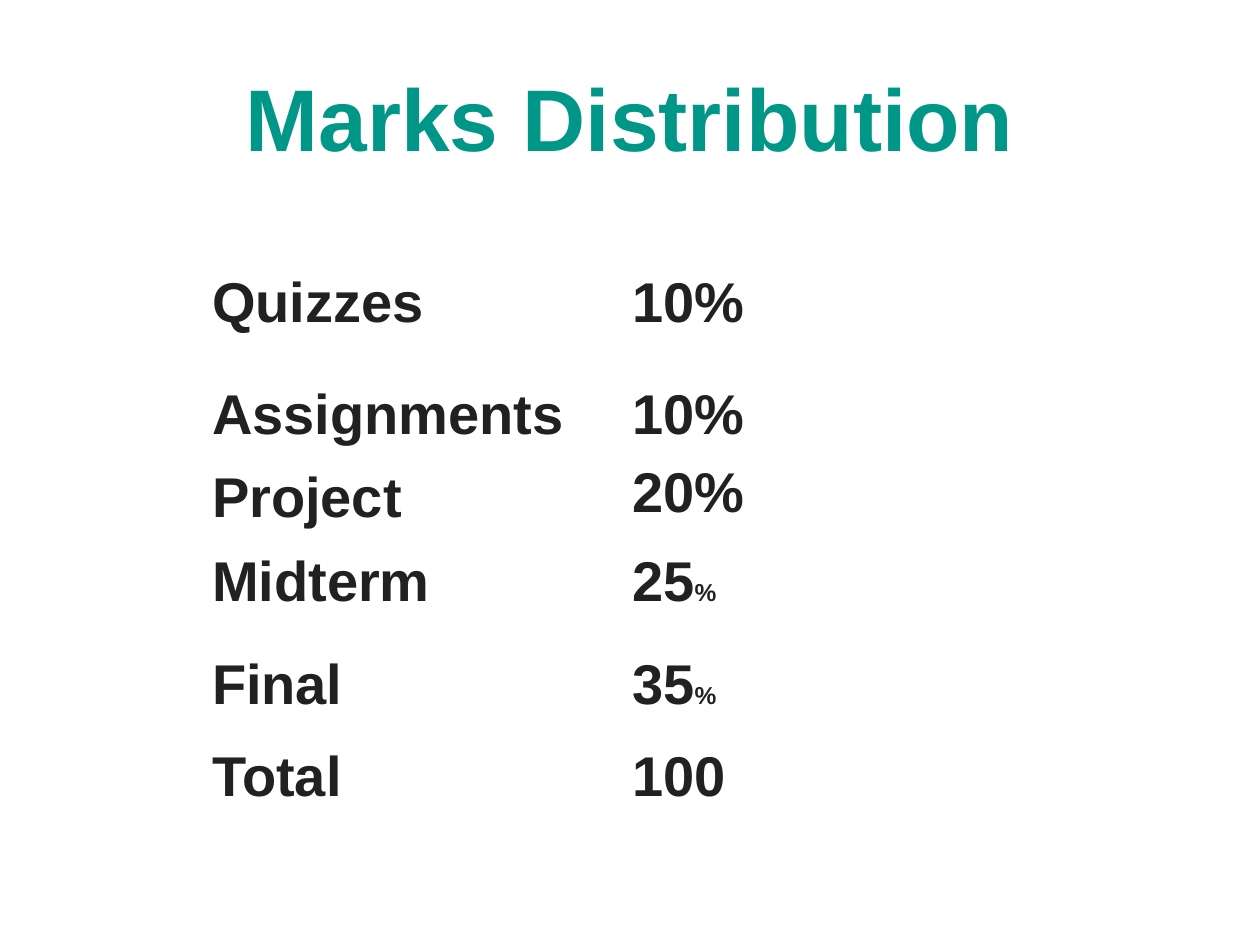
from dataclasses import dataclass

from lxml.etree import SubElement
from pptx import Presentation
from pptx.dml.color import RGBColor as Rgb
from pptx.enum.text import MSO_ANCHOR as Anchor, PP_ALIGN as Align
from pptx.oxml.ns import qn
from pptx.util import Cm, Pt


@dataclass(frozen=True)
class Theme:
    """Colours, type sizes and line widths of the slide."""
    font: str = "Arial"
    heading: str = "009688"
    body: str = "212121"
    rule: str = "FFFFFF"
    heading_size: int = 50
    body_size: int = 32
    small_size: int = 14
    outer_rule: float = 2.25
    inner_rule: float = 1


THEME = Theme()
MARKS = [
    (2.24, [["Quizzes"]], [["10%"]]),
    (3.25, [["Assignments"], ["Project"]], [["10%"], ["20%"]]),
    (2.08, [["Midterm"]], [["25", "%"]]),
    (1.85, [["Final"]], [["35", "%"]]),
    (1.85, [["Total"]], [["100"]]),
]
PARAGRAPH_GAPS = (11.5, 9.2)


def set_attributes(target, formats):
    """Set every attribute in a dict of format values."""
    for name, value in formats.items():
        setattr(target, name, value)


def add_run(paragraph, text, size, color):
    """Add a bold run in the theme font."""
    run = paragraph.add_run()
    run.text = text
    set_attributes(run.font, {"name": THEME.font, "size": Pt(size), "bold": True})
    run.font.color.rgb = Rgb.from_string(color)


def add_heading(slide, box, text):
    """Place the centred heading in its box."""
    frame = slide.shapes.add_textbox(*map(Cm, box)).text_frame
    set_attributes(frame, {"word_wrap": True, "vertical_anchor": Anchor.MIDDLE})
    paragraph = frame.paragraphs[0]
    paragraph.alignment = Align.CENTER
    add_run(paragraph, text, THEME.heading_size, THEME.heading)


def rule_cell(cell, outer_sides):
    """Draw the four borders of a cell, heavier on the table's outer sides."""
    properties = cell._tc.get_or_add_tcPr()
    for side in "LRTB":
        width = THEME.outer_rule if side in outer_sides else THEME.inner_rule
        line = SubElement(properties, qn(f"a:ln{side}"), w=str(Pt(width)))
        SubElement(SubElement(line, qn("a:solidFill")), qn("a:srgbClr"), val=THEME.rule)


def fill_cell(cell, lines, gap):
    """Write the lines of a cell, with smaller type after the first run."""
    cell.fill.background()
    frame = cell.text_frame
    for index, parts in enumerate(lines):
        paragraph = frame.add_paragraph() if index else frame.paragraphs[0]
        if index:
            paragraph.space_before = Pt(gap)
        for position, part in enumerate(parts):
            size = THEME.small_size if position else THEME.body_size
            add_run(paragraph, part, size, THEME.body)


def add_marks(slide, box, marks):
    """Place the table of marks in its box."""
    table = slide.shapes.add_table(len(marks), 2, *map(Cm, box)).table
    set_attributes(table, {"first_row": False, "horz_banding": False})
    for row_index, (height, *cells) in enumerate(marks):
        table.rows[row_index].height = Cm(height)
        for column, lines in enumerate(cells):
            outer = "LR"[column]
            if row_index == 0:
                outer += "T"
            if row_index == len(marks) - 1:
                outer += "B"
            cell = table.cell(row_index, column)
            rule_cell(cell, outer)
            fill_cell(cell, lines, PARAGRAPH_GAPS[column])


def main():
    """Build and save the slide."""
    deck = Presentation()
    set_attributes(deck, {"slide_width": Cm(25.4), "slide_height": Cm(19.05)})
    slide = deck.slides.add_slide(deck.slide_layouts[6])
    add_heading(slide, (1.27, 0.76, 22.86, 3.18), "Marks Distribution")
    add_marks(slide, (4.02, 5.36, 16.94, sum(row[0] for row in MARKS)), MARKS)
    deck.save("out.pptx")


if __name__ == "__main__":
    main()
